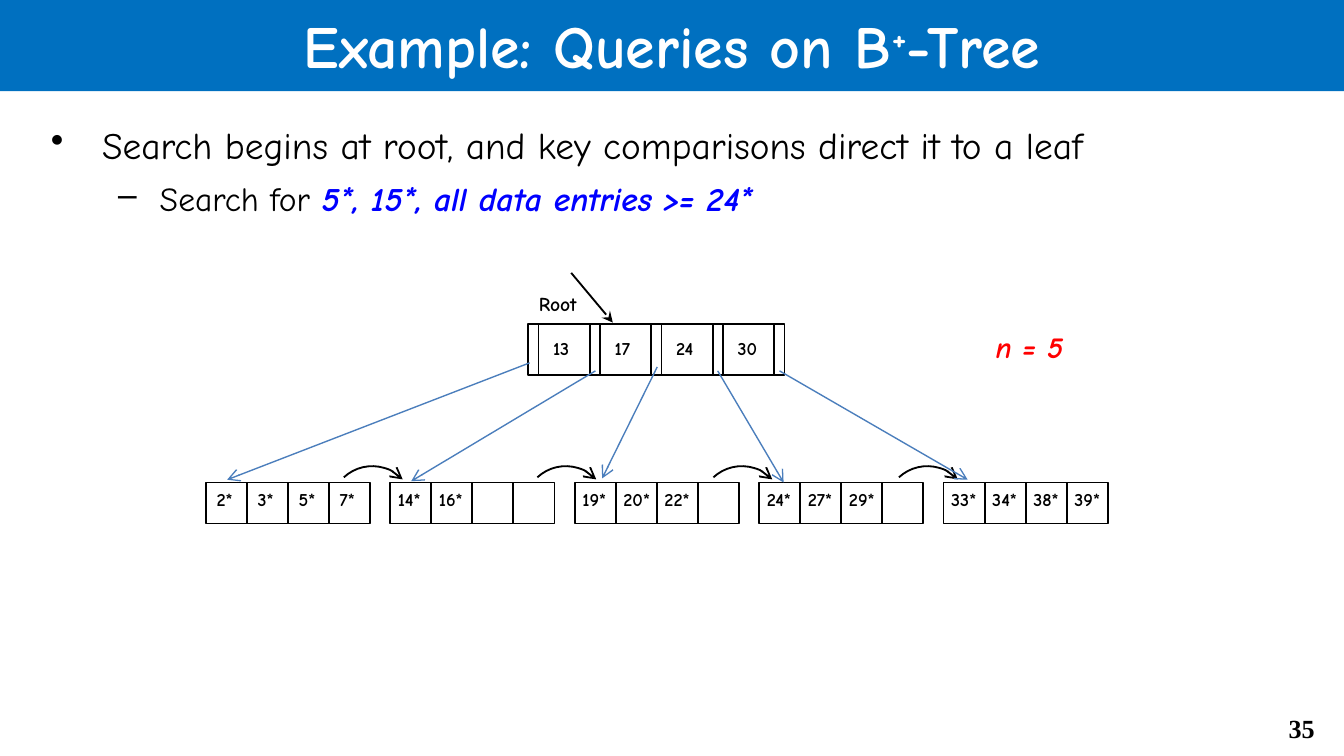
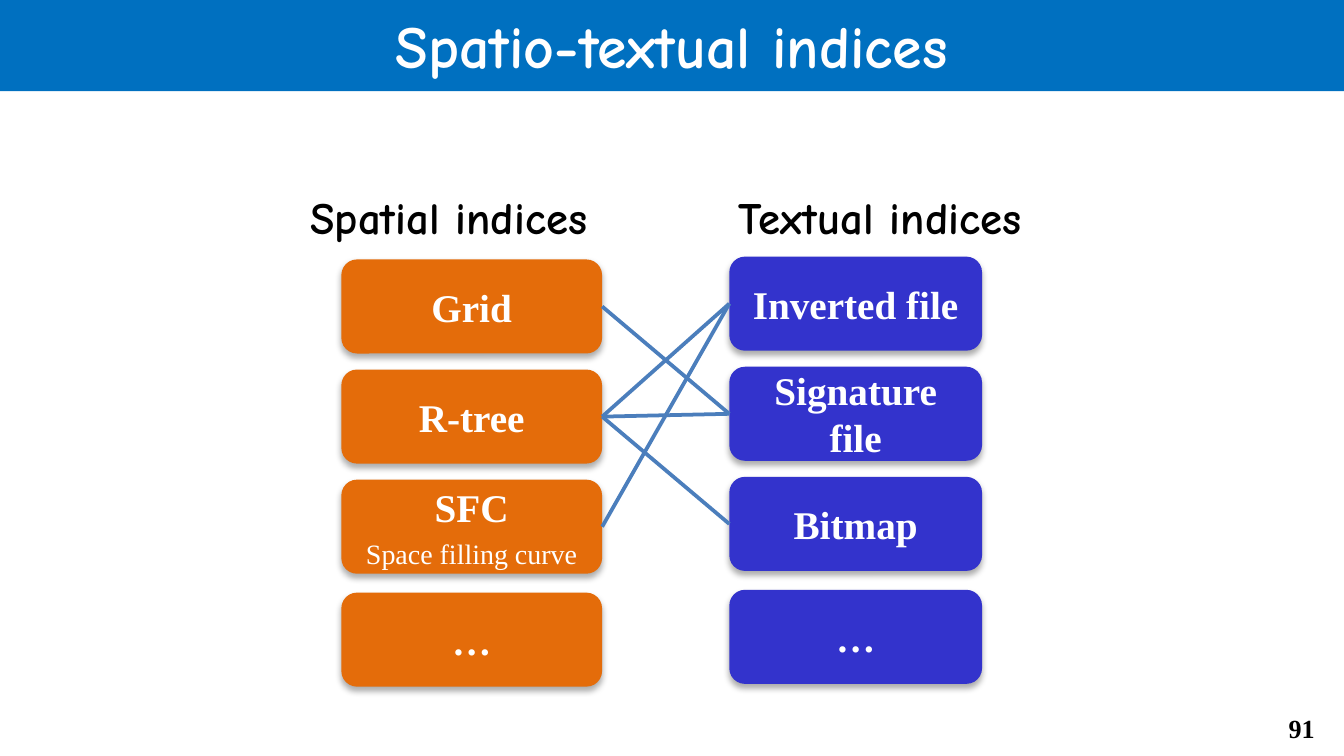
"""Build two lecture slides: a B+-tree query example and spatio-textual indices."""
from lxml import etree
from pptx import Presentation
from pptx import util as u
from pptx.dml.color import RGBColor
from pptx.enum import shapes, text
from pptx.oxml import ns

Pt = u.Pt
CENTER, RIGHT = text.PP_ALIGN.CENTER, text.PP_ALIGN.RIGHT


def style(size, color="000000", name="Comic Neue", **extra):
    return {"name": name, "size": Pt(size), "color": color, **extra}


class Theme:
    band, black, link = "0070C0", "000000", "4B7EBC"
    spatial, textual = "E46C0A", "3333CC"
    serif = "Times New Roman"
    title = style(32, "FFFFFF", bold=True)
    number = style(14, name=serif, bold=True)
    body, sub = style(20), style(18)
    query = style(18, "0000FF", bold=True, italic=True)
    root = style(10.5, bold=True)
    key = style(9.8, bold=True)
    note = style(16, "FF0000", bold=True, italic=True)
    heading = style(24, bold=True)
    index = style(21, "FFFFFF", serif, bold=True)
    index_note = style(15, "FFFFFF", serif, bold=False)


TREE_TITLE = [("Example: Queries on B", 0), ("+", 30), ("-Tree", 0)]
INDEX_TITLE = [("Spatio-textual indices", 0)]

BULLETS = [
    {"mark": "•", "left": 27.4, "hang": 27.4, "spans": [
        ("Search begins at root, and key comparisons direct it to a leaf", Theme.body)]},
    {"mark": "–", "left": 58.3, "hang": 22.3, "level": 1, "space_before": Pt(6), "spans": [
        ("Search for ", Theme.sub), ("5*, 15*, all data entries >= 24*", Theme.query)]},
]

ROOT_KEYS = ["13", "17", "24", "30"]
LEAVES = [
    ["2*", "3*", "5*", "7*"],
    ["14*", "16*", "", ""],
    ["19*", "20*", "22*", ""],
    ["24*", "27*", "29*", ""],
    ["33*", "34*", "38*", "39*"],
]
POINTERS = [
    (283.7, 194.4, 121.7, 257),
    (319, 198.7, 220.3, 257.8),
    (352.1, 196.6, 322.6, 256.3),
    (384.5, 198.7, 419.8, 258.5),
    (417.6, 198.7, 518.4, 257),
]
SIBLING_CENTERS = [199.4, 303.1, 397.4, 496.8]

ROW_TOPS = [139, 198, 257, 317.5]
COLUMNS = [
    {"heading": "Spatial indices", "heading_at": (150.5, 95, 180, 34), "color": Theme.spatial,
     "left": 182.9, "width": 139.7, "shift": 0,
     "items": [["Grid"], ["R-tree"], ["SFC", "Space filling curve"], ["…"]]},
    {"heading": "Textual indices", "heading_at": (373.7, 95, 195.8, 34), "color": Theme.textual,
     "left": 390.7, "width": 135.4, "shift": -1.5,
     "items": [["Inverted file"], ["Signature file"], ["Bitmap"], ["…"]]},
]
PAIRS = [(0, 1), (1, 0), (1, 2), (1, 1), (2, 0)]


def points(*values):
    return [Pt(value) for value in values]


def add_span(para, words, look):
    span = para.add_run()
    span.text = words
    for field, value in look.items():
        if field == "color":
            span.font.color.rgb = RGBColor.from_string(value)
        else:
            setattr(span.font, field, value)
    return span


def write(frame, paragraphs, **common):
    for number, item in enumerate(paragraphs):
        para = frame.add_paragraph() if number else frame.paragraphs[0]
        if "mark" in item:
            props = para._p.get_or_add_pPr()
            props.set("marL", str(int(Pt(item["left"]))))
            props.set("indent", str(-int(Pt(item["hang"]))))
            etree.SubElement(props, ns.qn("a:buChar")).set("char", item["mark"])
        formats = {**common, **item}
        for field in ("level", "alignment", "space_before", "line_spacing"):
            if field in formats:
                setattr(para, field, formats[field])
        for words, look in item["spans"]:
            add_span(para, words, look)


def add_text(page, place, paragraphs, wrap=True, margins=(7.2, 3.6), **common):
    frame = page.shapes.add_textbox(*points(*place)).text_frame
    frame.word_wrap = wrap
    across, down = points(*margins)
    values = {"margin_left": across, "margin_right": across,
              "margin_top": down, "margin_bottom": down}
    for field, value in values.items():
        setattr(frame, field, value)
    write(frame, paragraphs, **common)


def add_label(page, place, words, look):
    add_text(page, place, [{"spans": [(words, look)]}], wrap=False, margins=(5, 2.9))


def set_line(item, color, width, arrow=None):
    item.line.color.rgb = RGBColor.from_string(color)
    item.line.width = Pt(width)
    if arrow:
        outline = item.line._get_or_add_ln()
        etree.SubElement(outline, ns.qn("a:tailEnd")).set("type", arrow)


def add_line(page, ends, color, width, arrow=None):
    line = page.shapes.add_connector(shapes.MSO_CONNECTOR.STRAIGHT, *points(*ends))
    set_line(line, color, width, arrow)
    etree.SubElement(line._element.spPr, ns.qn("a:effectLst"))
    return line


def add_outline(page, kind, place, arrow=None):
    box = page.shapes.add_shape(kind, *points(*place))
    box.fill.background()
    set_line(box, Theme.black, 1, arrow)
    box.shadow.inherit = False
    return box


def add_soft_shadow(box):
    box.shadow.inherit = False
    effects = box._element.spPr.find(ns.qn("a:effectLst"))
    shadow = etree.SubElement(effects, ns.qn("a:outerShdw"), blurRad=str(int(Pt(3.5))),
                              dist=str(int(Pt(2.2))), dir="5400000", rotWithShape="0")
    tint = etree.SubElement(shadow, ns.qn("a:srgbClr"), val=Theme.black)
    etree.SubElement(tint, ns.qn("a:alpha"), val="32000")


def add_page(deck, title_parts, number):
    page = deck.slides.add_slide(deck.slide_layouts[5])
    title = page.shapes.title
    places = zip(("left", "top", "width", "height"), points(0, -1.5, 720, 50.4))
    for field, value in places:
        setattr(title, field, value)
    title.fill.solid()
    title.fill.fore_color.rgb = RGBColor.from_string(Theme.band)
    title.text_frame.vertical_anchor = text.MSO_ANCHOR.MIDDLE
    para = title.text_frame.paragraphs[0]
    para.alignment = CENTER
    for words, raised in title_parts:
        span = add_span(para, words, Theme.title)
        if raised:
            span._r.get_or_add_rPr().set("baseline", str(raised * 1000))
    add_text(page, (666, 378, 45.4, 24.5), [{"spans": [(number, Theme.number)]}], alignment=RIGHT)
    return page


def draw_root(page):
    left, top, pitch, slot, height = 283, 173.5, 32.95, 5.5, 27.4
    for number, key in enumerate(ROOT_KEYS):
        x = left + number * pitch
        add_outline(page, shapes.MSO_SHAPE.RECTANGLE, (x, top, pitch, height))
        add_line(page, (x + slot, top, x + slot, top + height), Theme.black, 1)
        add_label(page, (x + 8.3, top + 4.2, 23, 17.3), key, Theme.key)
    end = left + len(ROOT_KEYS) * pitch
    add_outline(page, shapes.MSO_SHAPE.RECTANGLE, (end, top, slot, height))
    add_label(page, (283.7, 153.4, 33.8, 18), "Root", Theme.root)
    add_line(page, (306, 146.2, 328.3, 172.8), Theme.black, 1, "stealth")


def draw_leaves(page):
    left, top, pitch, cell = 110.3, 258.5, 98.8, 22
    for leaf, keys in enumerate(LEAVES):
        for number, key in enumerate(keys):
            x = left + leaf * pitch + number * cell
            add_outline(page, shapes.MSO_SHAPE.RECTANGLE, (x, top, cell, cell))
            if key:
                nudge, width = (0.7, 22.3) if len(key) == 2 else (-0.9, 28)
                add_label(page, (x + nudge, top + 0.4, width, 17.3), key, Theme.key)
    radius, middle = 22.3, 272
    for center in SIBLING_CENTERS:
        place = (center - radius, middle - radius, 2 * radius, 2 * radius)
        arc = add_outline(page, shapes.MSO_SHAPE.ARC, place, "arrow")
        arc.rotation = 317


def build_tree(deck):
    page = add_page(deck, TREE_TITLE, "35")
    add_text(page, (20.2, 62, 674.6, 299.5), BULLETS)
    draw_root(page)
    draw_leaves(page)
    add_text(page, (526.3, 172.8, 56.9, 26.6), [{"spans": [("n = 5", Theme.note)]}])
    for ends in POINTERS:
        add_line(page, ends, Theme.link, 0.75, "arrow")


def add_index(page, column, top, words):
    place = points(column["left"], top + column["shift"], column["width"], 50.4)
    box = page.shapes.add_shape(shapes.MSO_SHAPE.ROUNDED_RECTANGLE, *place)
    box.fill.solid()
    box.fill.fore_color.rgb = RGBColor.from_string(column["color"])
    box.line.fill.background()
    add_soft_shadow(box)
    box.text_frame.word_wrap = True
    box.text_frame.vertical_anchor = text.MSO_ANCHOR.MIDDLE
    paragraphs = [{"spans": [(words[0], Theme.index)]}]
    paragraphs += [{"spans": [(note, Theme.index_note)], "space_before": Pt(3)}
                   for note in words[1:]]
    write(box.text_frame, paragraphs, alignment=CENTER)
    return box


def build_indices(deck):
    page = add_page(deck, INDEX_TITLE, "91")
    stacks = []
    for column in COLUMNS:
        add_text(page, column["heading_at"], [{"spans": [(column["heading"], Theme.heading)]}],
                 margins=(0, 0.7), alignment=CENTER, line_spacing=1.2)
        stacks.append([add_index(page, column, top, words)
                       for top, words in zip(ROW_TOPS, column["items"])])
    spatial, textual = stacks
    for start, end in PAIRS:
        link = add_line(page, (0, 0, 0, 0), Theme.link, 2)
        link.begin_connect(spatial[start], 3)
        link.end_connect(textual[end], 1)


def main():
    deck = Presentation()
    deck.slide_width, deck.slide_height = points(720, 405)
    build_tree(deck)
    build_indices(deck)
    deck.save("out.pptx")


if __name__ == "__main__":
    main()
